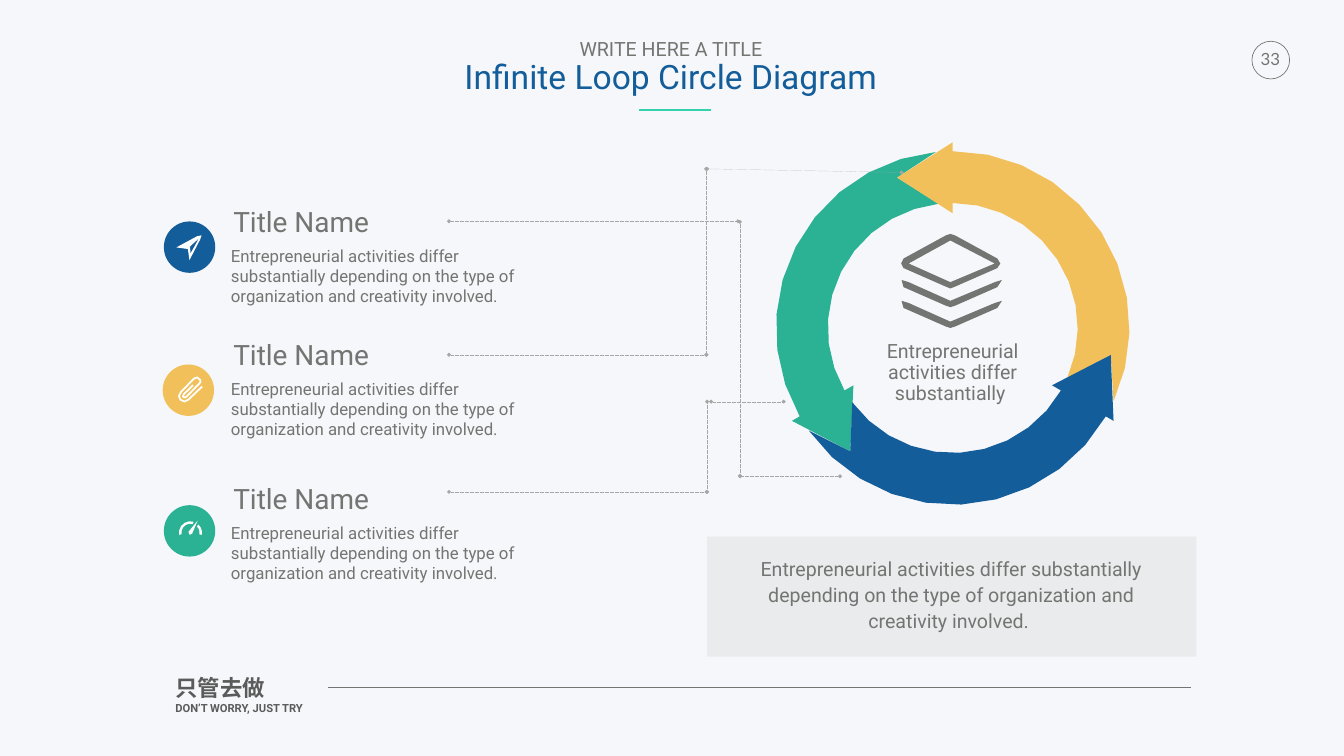
import math
from pptx import Presentation
from pptx import util as u
from pptx.dml.color import RGBColor
from pptx.enum import dml, shapes, text
from pptx.oxml.ns import qn
from lxml import etree

BACKGROUND = RGBColor(0xF6, 0xF7, 0xFA)
GRAY = RGBColor(0x73, 0x75, 0x72)
DARK_GRAY = RGBColor(0x5B, 0x5B, 0x5B)
LINE_GRAY = RGBColor(0xA6, 0xA6, 0xA6)
PANEL_GRAY = RGBColor(0xD9, 0xD9, 0xD9)
WHITE = RGBColor(0xFF, 0xFF, 0xFF)
BLUE = RGBColor(0x13, 0x5D, 0x9A)
YELLOW = RGBColor(0xF1, 0xC0, 0x5A)
GREEN = RGBColor(0x2B, 0xB2, 0x94)
TURQUOISE = RGBColor(0x33, 0xD1, 0xAD)

SENTENCE = ("Entrepreneurial activities differ substantially depending on "
            "the type of organization and creativity involved.")
LOOP_CENTER = (48.02, 16.53)
OUTER_RADIUS, INNER_RADIUS = 8.91, 6.3

# Icon outlines, in centimetres on the slide
PLANE = [
    [(10.16, 11.86), (9.93, 11.91), (8.89, 12.47), (9.47, 12.55),
     (9.55, 13.11), (10.08, 12.09)],
    [(10.03, 12.01), (9.6, 12.78), (9.58, 12.42)],
]
CLIP = [(10.19, 19.48), (9.5, 20.14), (9.3, 20.24), (9.09, 20.14),
        (9.02, 19.96), (9.12, 19.76), (9.78, 19.08), (9.93, 19.02),
        (10.08, 19.13), (10.11, 19.25), (10.03, 19.35), (9.4, 19.99),
        (9.3, 20.04), (9.22, 19.99), (9.27, 19.86), (9.73, 19.41)]
NEEDLE = [(9.96, 26.24), (9.5, 26.8), (9.55, 26.95), (9.68, 26.9)]
TOP_LAYER = [
    [(45.54, 13.51), (47.68, 14.45), (47.9, 14.54), (48.13, 14.45),
     (50.27, 13.51), (50.42, 13.28), (50.27, 13.03), (48.13, 11.86),
     (47.9, 11.79), (47.68, 11.86), (45.54, 13.03), (45.42, 13.28)],
    [(47.9, 12.12), (50.14, 13.28), (47.9, 14.22), (45.8, 13.28)],
]
LOWER_LAYER = [(45.44, 15.16), (45.8, 15.27), (47.9, 16.21), (50.14, 15.27),
               (50.5, 15.16), (50.27, 15.52), (48.13, 16.46), (47.9, 16.53),
               (47.68, 16.46), (45.54, 15.52)]


def polar(center, radius, degrees):
    angle = math.radians(degrees)
    return (center[0] + radius * math.cos(angle),
            center[1] + radius * math.sin(angle))


def arc(center, radius, start, end, steps=10):
    return [polar(center, radius, start + (end - start) * step / steps)
            for step in range(steps + 1)]


def band(center, outer, inner, start, end, steps):
    return (arc(center, outer, start, end, steps)
            + arc(center, inner, end, start, steps))


def style_shape(shape, fill=None, line=None, width=1):
    shape.shadow.inherit = False
    if fill is None:
        shape.fill.background()
    else:
        shape.fill.solid()
        shape.fill.fore_color.rgb = fill
    if line is None:
        shape.line.fill.background()
    else:
        shape.line.color.rgb = line
        shape.line.width = u.Pt(width)


def add_preset(slide, kind, left, top, width, height, **style):
    shape = slide.shapes.add_shape(kind, u.Cm(left), u.Cm(top),
                                   u.Cm(width), u.Cm(height))
    style_shape(shape, **style)
    return shape


def add_outline(slide, contours, closed=True, **style):
    contours = [[(u.Cm(x), u.Cm(y)) for x, y in contour]
                for contour in contours]
    builder = slide.shapes.build_freeform(*contours[0][0])
    for index, contour in enumerate(contours):
        if index:
            builder.move_to(*contour[0])
        builder.add_line_segments(contour[1:], close=closed)
    style_shape(builder.convert_to_shape(), **style)


def add_line(slide, start, end, color, width):
    connector = slide.shapes.add_connector(
        shapes.MSO_CONNECTOR.STRAIGHT,
        *[u.Cm(value) for value in (*start, *end)])
    connector.line.color.rgb = color
    connector.line.width = u.Pt(width)
    etree.SubElement(connector._element.spPr, qn("a:effectLst"))
    return connector


def add_callout_line(slide, start, end):
    connector = add_line(slide, start, end, LINE_GRAY, 0.25)
    connector.line.dash_style = dml.MSO_LINE.DASH
    line = connector.line._get_or_add_ln()
    for tag in ("a:headEnd", "a:tailEnd"):
        etree.SubElement(line, qn(tag), type="diamond")


def fill_text(shape, runs, inset=0.13, align=text.PP_ALIGN.LEFT, spacing=None,
              anchor=text.MSO_ANCHOR.TOP, wrap=True):
    """Write one paragraph per (words, size, color, font, bold)."""
    frame = shape.text_frame
    frame.auto_size = text.MSO_AUTO_SIZE.NONE
    frame.word_wrap = wrap
    frame.vertical_anchor = anchor
    frame.margin_left = frame.margin_right = u.Cm(inset)
    frame.margin_top = frame.margin_bottom = u.Cm(inset)
    for index, (words, size, color, font, bold) in enumerate(runs):
        paragraph = frame.add_paragraph() if index else frame.paragraphs[0]
        paragraph.alignment = align
        paragraph.space_before = u.Pt(0)
        if spacing:
            paragraph.line_spacing = spacing
        run = paragraph.add_run()
        run.text = words
        run.font.size = u.Pt(size)
        run.font.color.rgb = color
        run.font.name = font
        run.font.bold = bold


def add_text(slide, left, top, width, height, runs, **layout):
    box = slide.shapes.add_textbox(u.Cm(left), u.Cm(top),
                                   u.Cm(width), u.Cm(height))
    fill_text(box, runs, **layout)


def add_title(slide):
    title = slide.shapes.title
    title.left, title.top = u.Cm(23.22), u.Cm(1.85)
    title.width, title.height = u.Cm(21.18), u.Cm(3.38)
    fill_text(title, [("WRITE HERE A TITLE", 28, GRAY, "Roboto", False),
                      ("Infinite Loop Circle Diagram", 48, BLUE, "Roboto", False)],
              align=text.PP_ALIGN.CENTER, spacing=0.9, wrap=False)
    add_line(slide, (32.2, 5.54), (35.84, 5.54), TURQUOISE, 3)


def add_loop_arrow(slide, head, color):
    """Draw a third of the loop, its arrowhead based at angle head."""
    outline = arc(LOOP_CENTER, OUTER_RADIUS, head + 114.5, head)
    outline += [polar(LOOP_CENTER, 9.36, head),
                polar(LOOP_CENTER, 8.08, head - 20.3),
                polar(LOOP_CENTER, 5.78, head)]
    outline += arc(LOOP_CENTER, INNER_RADIUS, head, head + 113.5)
    outline.append(polar(LOOP_CENTER, 8.08, head + 99.7))
    add_outline(slide, [outline], fill=color)


def add_item(slide, top, badge_left, badge_top, color):
    add_preset(slide, shapes.MSO_SHAPE.OVAL, badge_left, badge_top,
               2.59, 2.59, fill=color)
    add_text(slide, 11.51, top, 16.64, 2.21,
             [("Title Name", 40, GRAY, "Roboto", False)], inset=0.25)
    add_text(slide, 11.51, top + 2.21, 16.64, 3.33,
             [(SENTENCE, 24, GRAY, "Roboto", False)])


def main():
    presentation = Presentation()
    presentation.slide_width, presentation.slide_height = u.Cm(67.74), u.Cm(38.1)
    slide = presentation.slides.add_slide(presentation.slide_layouts[5])
    slide.background.fill.solid()
    slide.background.fill.fore_color.rgb = BACKGROUND
    center = text.PP_ALIGN.CENTER

    # Page number and footer
    add_preset(slide, shapes.MSO_SHAPE.OVAL, 63.1, 2.08, 1.9, 1.9, line=GRAY)
    add_text(slide, 63.3, 2.18, 1.47, 1.52, [("33", 24, GRAY, "Lato", False)],
             inset=0.25, align=center, wrap=False)
    add_text(slide, 8.71, 33.86, 10.13, 2.51,
             [("只管去做", 32, DARK_GRAY, "Roboto", True),
              ("DON’T WORRY, JUST TRY", 16, DARK_GRAY, "Roboto", True)])
    add_line(slide, (16.54, 34.65), (60.02, 34.65), GRAY, 0.25)
    add_title(slide)

    # Loop
    for head, color in ((-210, GREEN), (-90, YELLOW), (30, BLUE)):
        add_loop_arrow(slide, head, color)

    # Items and their icons
    add_item(slide, 10.05, 8.26, 11.16, BLUE)
    add_item(slide, 16.74, 8.2, 18.37, YELLOW)
    add_item(slide, 24, 8.26, 25.46, GREEN)
    add_outline(slide, PLANE, fill=WHITE)
    add_outline(slide, [CLIP], closed=False, line=WHITE, width=2.5)
    dial = (9.6, 26.85)
    add_outline(slide, [NEEDLE, band(dial, 0.58, 0.46, 170, 285, 5),
                        band(dial, 0.58, 0.46, -45, 10, 3)], fill=WHITE)

    # Text panel
    panel = add_preset(slide, shapes.MSO_SHAPE.RECTANGLE, 35.64, 27.05,
                       24.66, 6.05, fill=PANEL_GRAY)
    panel_color = panel._element.spPr.find(".//" + qn("a:srgbClr"))
    etree.SubElement(panel_color, qn("a:alpha"), val="40000")
    add_text(slide, 37.29, 27.99, 21.29, 3.84,
             [(SENTENCE + " ", 28, GRAY, "Roboto", False)], inset=0,
             align=center, spacing=1.1, anchor=text.MSO_ANCHOR.MIDDLE)

    # Callout lines from the items to the loop
    for start, end in (
            ((22.63, 11.15), (37.19, 11.15)), ((37.29, 11.18), (37.29, 23.98)),
            ((37.31, 24), (42.34, 24)), ((22.63, 17.88), (35.61, 17.88)),
            ((35.64, 8.51), (45.44, 8.69)), ((22.63, 24.79), (35.61, 24.79)),
            ((35.64, 20.24), (35.64, 24.79)), ((35.84, 20.24), (39.5, 20.24)),
            ((35.59, 8.51), (35.59, 17.88))):
        add_callout_line(slide, start, end)

    # Loop center: stacked layers and label
    middle_layer = [(x, y - 1.05) for x, y in LOWER_LAYER]
    add_outline(slide, TOP_LAYER + [middle_layer, LOWER_LAYER], fill=GRAY)
    add_text(slide, 43.28, 16.97, 9.47, 3.84,
             [("Entrepreneurial activities differ substantially ", 28, GRAY,
               "Roboto", False)], inset=0.25, align=center, spacing=0.89)

    presentation.save("out.pptx")


if __name__ == "__main__":
    main()
